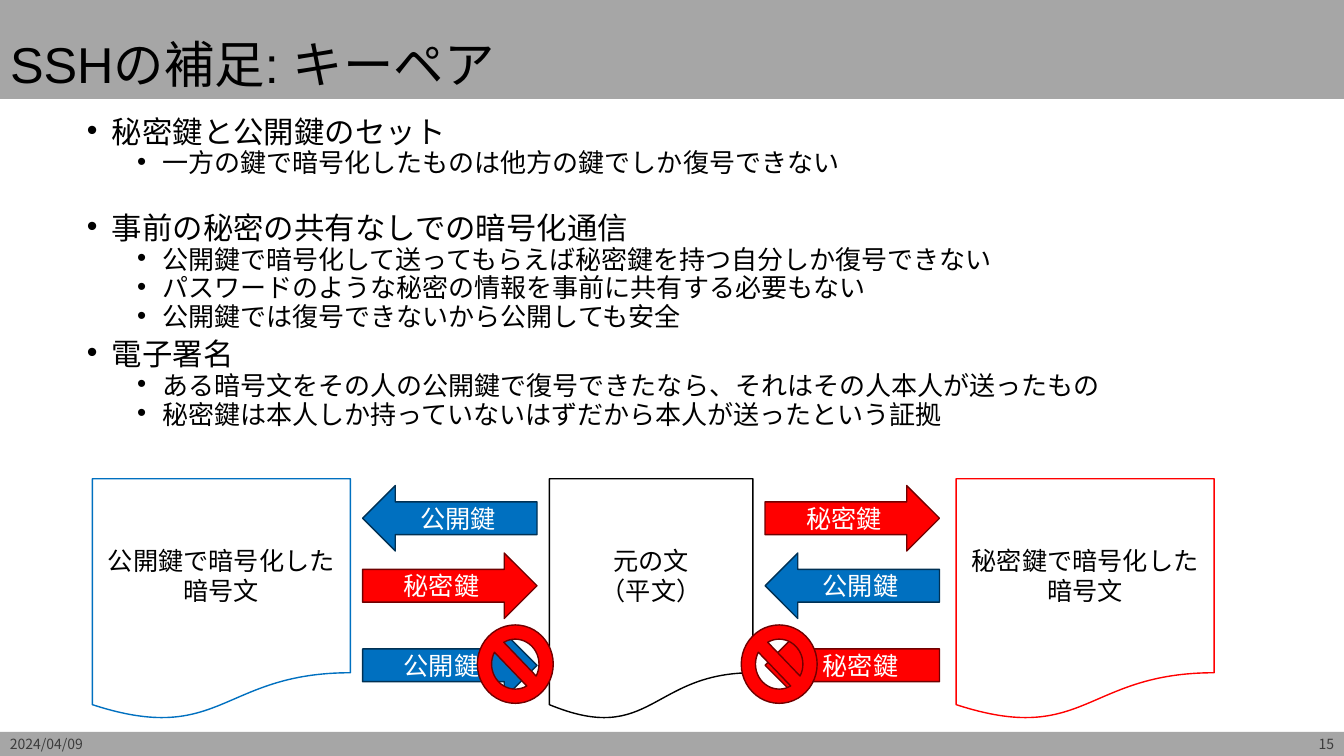
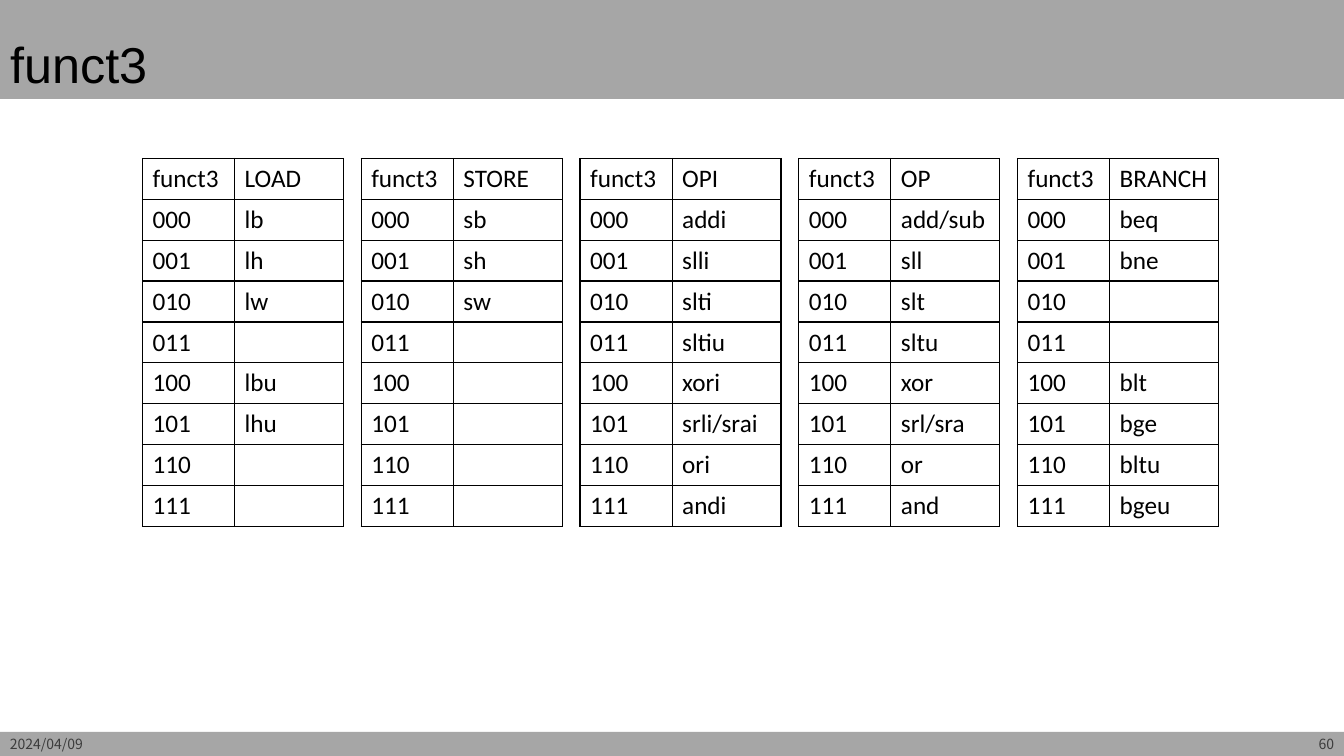
from lxml import etree
from pptx import Presentation
from pptx.dml.color import RGBColor
from pptx.enum import shapes, text
from pptx.oxml.ns import qn
from pptx.util import Pt

BLACK = RGBColor(0x00, 0x00, 0x00)
WHITE = RGBColor(0xFF, 0xFF, 0xFF)
BAND = RGBColor(0xA6, 0xA6, 0xA6)
FOOT = RGBColor(0x3C, 0x3C, 0x3C)
RED = RGBColor(0xFF, 0x00, 0x00)
MAROON = RGBColor(0x70, 0x00, 0x00)
BLUE = RGBColor(0x00, 0x70, 0xC0)
NAVY = RGBColor(0x00, 0x31, 0x54)
GOTHIC = "Noto Sans CJK JP"
WIDE, HIGH = 960, 540
HEAD_H, FOOT_H = 70.6, 17.3
KIND = shapes.MSO_SHAPE
ALIGN = text.PP_ALIGN
MIDDLE = text.MSO_ANCHOR.MIDDLE


def write(frame, words, size, color, face=GOTHIC, align=ALIGN.LEFT):
    """Put words in a frame, one paragraph a line, all in one style."""
    frame.text = words
    for para in frame.paragraphs:
        para.alignment = align
        para.font.size = Pt(size)
        para.font.color.rgb = color
        para.font.name = face
        props = para._p.pPr.find(qn("a:defRPr"))
        etree.SubElement(props, qn("a:ea"), typeface=GOTHIC)


def draw(slide, kind, box, fill, line=None):
    shape = slide.shapes.add_shape(kind, *map(Pt, box))
    shape.shadow.inherit = False
    shape.fill.solid()
    shape.fill.fore_color.rgb = fill
    if line is None:
        shape.line.fill.background()
    else:
        shape.line.color.rgb = line
        shape.line.width = Pt(1)
    return shape


deck = Presentation()
deck.slide_width, deck.slide_height = Pt(WIDE), Pt(HIGH)

# Title bands and footers
pages = []
for name, number in (("SSHの補足: キーペア", "15"), ("funct3", "60")):
    slide = deck.slides.add_slide(deck.slide_layouts[5])
    pages.append(slide)
    title = slide.shapes.title
    title.left, title.top = Pt(0), Pt(0)
    title.width, title.height = Pt(WIDE), Pt(HEAD_H)
    title.fill.solid()
    title.fill.fore_color.rgb = BAND
    frame = title.text_frame
    frame.auto_size = text.MSO_AUTO_SIZE.NONE
    frame.vertical_anchor = text.MSO_ANCHOR.BOTTOM
    frame.margin_bottom = Pt(3)
    write(frame, name, 36, BLACK, "Arial")
    frame.paragraphs[0].line_spacing = 0.9

    top = HIGH - FOOT_H
    draw(slide, KIND.RECTANGLE, (0, top, WIDE, FOOT_H), BAND)
    for left, words, align in ((0, "2024/04/09", ALIGN.LEFT),
                               (WIDE - 113, number, ALIGN.RIGHT)):
        note = slide.shapes.add_textbox(Pt(left), Pt(top), Pt(113), Pt(FOOT_H))
        frame = note.text_frame
        frame.word_wrap = True
        frame.vertical_anchor = MIDDLE
        frame.margin_top = frame.margin_bottom = Pt(0)
        write(frame, words, 10, FOOT, align=align)

keys, codes = pages

# Key pair: bullets as (level, space before, words)
points = [
    (0, 0, "秘密鍵と公開鍵のセット"),
    (1, 5, "一方の鍵で暗号化したものは他方の鍵でしか復号できない"),
    (0, 30, "事前の秘密の共有なしでの暗号化通信"),
    (1, 5, "公開鍵で暗号化して送ってもらえば秘密鍵を持つ自分しか復号できない"),
    (1, 5, "パスワードのような秘密の情報を事前に共有する必要もない"),
    (1, 5, "公開鍵では復号できないから公開しても安全"),
    (0, 10, "電子署名"),
    (1, 5, "ある暗号文をその人の公開鍵で復号できたなら、それはその人本人が送ったもの"),
    (1, 5, "秘密鍵は本人しか持っていないはずだから本人が送ったという証拠"),
]
body = keys.shapes.add_textbox(Pt(54.9), Pt(84.2), Pt(850), Pt(235))
frame = body.text_frame
frame.word_wrap = True
write(frame, "\n".join(words for _, _, words in points), 18.6, BLACK, "Arial")
for para, (level, before, _) in zip(frame.paragraphs, points):
    para.level = level
    para.line_spacing = 0.7
    para.space_before = Pt(before)
    if level == 0:
        para.font.size = Pt(21.7)
    props = para._p.pPr
    props.set("marL", str(Pt(18 + 36 * level)))
    props.set("indent", str(Pt(-18)))
    mark = etree.Element(qn("a:buFont"), typeface="Arial")
    dot = etree.Element(qn("a:buChar"), char="•")
    props.find(qn("a:defRPr")).addprevious(mark)
    mark.addnext(dot)

# Key pair: documents, arrows and stop signs
for left, width, line, words in (
        (392.4, 145.4, BLACK, "元の文\n（平文）"),
        (66, 184.3, BLUE, "公開鍵で暗号化した\n暗号文"),
        (683, 184.3, RED, "秘密鍵で暗号化した\n暗号文")):
    sheet = draw(keys, KIND.FLOWCHART_DOCUMENT, (left, 342, width, 172.8),
                 WHITE, line)
    write(sheet.text_frame, words, 18, BLACK, align=ALIGN.CENTER)

PUBLIC = ("公開鍵", BLUE, NAVY)
SECRET = ("秘密鍵", RED, MAROON)
TO_L, TO_R = KIND.LEFT_ARROW, KIND.RIGHT_ARROW
for left, stop, arrows in (
        (259, 341, ((TO_L, PUBLIC), (TO_R, SECRET), (TO_R, PUBLIC))),
        (546.5, 529.5, ((TO_R, SECRET), (TO_L, PUBLIC), (TO_L, SECRET)))):
    for top, (kind, (words, fill, line)) in zip((346.8, 395, 451.8), arrows):
        arrow = draw(keys, kind, (left, top, 124.6, 46.8), fill, line)
        write(arrow.text_frame, words, 18, WHITE, align=ALIGN.CENTER)
    draw(keys, KIND.NO_SYMBOL, (stop, 446.4, 54.2, 56), RED, MAROON)

# funct3 tables: names by code, 000 to 111
groups = {
    "LOAD": ("lb", "lh", "lw", "", "lbu", "lhu", "", ""),
    "STORE": ("sb", "sh", "sw", "", "", "", "", ""),
    "OPI": ("addi", "slli", "slti", "sltiu", "xori", "srli/srai", "ori", "andi"),
    "OP": ("add/sub", "sll", "slt", "sltu", "xor", "srl/sra", "or", "and"),
    "BRANCH": ("beq", "bne", "", "", "blt", "bge", "bltu", "bgeu"),
}
COLS, ROW_H, STEP = (65.8, 77.7), 29.2, 156.25
for spot, (group, names) in enumerate(groups.items()):
    rows = [("funct3", group)]
    rows += [(f"{code:03b}", name) for code, name in enumerate(names)]
    grid = codes.shapes.add_table(
        len(rows), 2, Pt(101.8 + spot * STEP), Pt(113.2),
        Pt(sum(COLS)), Pt(ROW_H * len(rows))).table
    grid.first_row = grid.horz_banding = False
    for col, width in zip(grid.columns, COLS):
        col.width = Pt(width)
    for row, pair in zip(grid.rows, rows):
        row.height = Pt(ROW_H)
        for cell, words in zip(row.cells, pair):
            write(cell.text_frame, words, 18, BLACK, "Calibri")
            props = cell._tc.get_or_add_tcPr()
            for side in ("L", "R", "T", "B"):
                edge = etree.SubElement(props, qn(f"a:ln{side}"), w=str(Pt(1)))
                ink = etree.SubElement(edge, qn("a:solidFill"))
                etree.SubElement(ink, qn("a:srgbClr"), val=str(BLACK))
            cell.fill.background()

deck.save("out.pptx")
